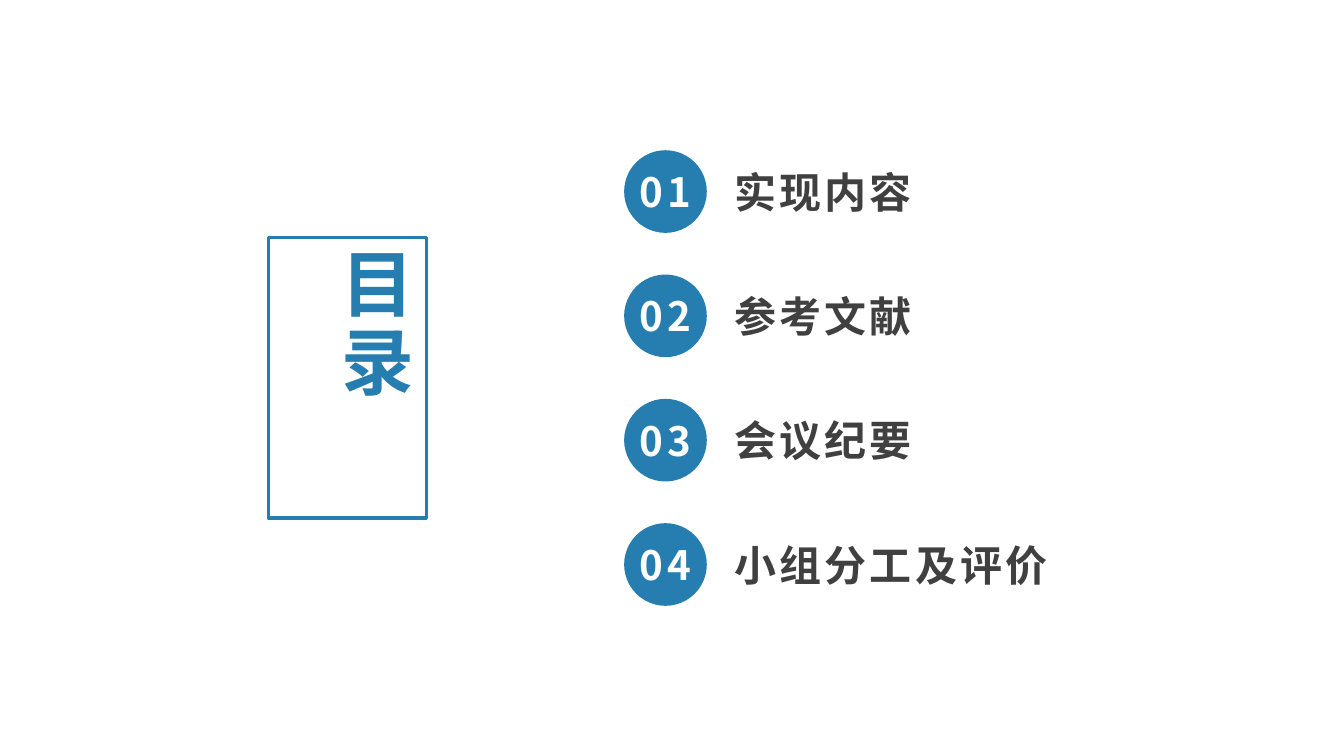
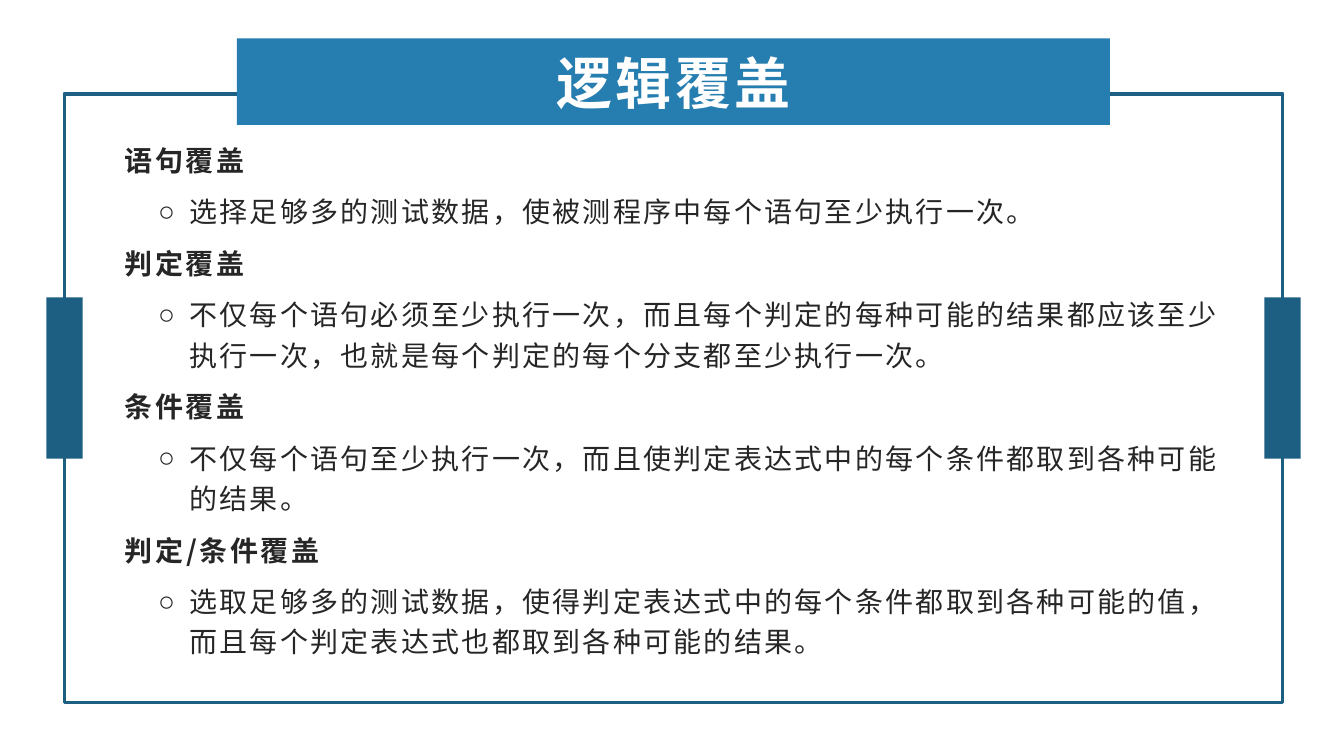
from dataclasses import dataclass

from lxml.etree import SubElement
from pptx import Presentation
from pptx.dml.color import RGBColor
from pptx.enum.shapes import MSO_SHAPE
from pptx.enum.text import MSO_ANCHOR, PP_ALIGN
from pptx.oxml.ns import qn
from pptx.util import Inches, Pt


@dataclass(frozen=True)
class Theme:
    """Colours, font and type sizes shared by all slides."""
    font: str = "Noto Sans CJK SC"
    blue: str = "267DAF"
    deep_blue: str = "1D5E83"
    white: str = "FFFFFF"
    entry: str = "404040"
    ink: str = "262626"
    contents_size: float = 52
    title_size: float = 40
    entry_size: float = 30
    number_size: float = 28.8
    body_size: float = 20


THEME = Theme()
PAGE_WIDTH, PAGE_HEIGHT = 13.33, 7.5

CONTENTS = ["实现内容", "参考文献", "会议纪要", "小组分工及评价"]
COVERAGE = [
    ("语句覆盖", "选择足够多的测试数据，使被测程序中每个语句至少执行一次。"),
    ("判定覆盖", "不仅每个语句必须至少执行一次，而且每个判定的每种可能的结果都应该至少执行一次，"
             "也就是每个判定的每个分支都至少执行一次。"),
    ("条件覆盖", "不仅每个语句至少执行一次，而且使判定表达式中的每个条件都取到各种可能的结果。"),
    ("判定/条件覆盖", "选取足够多的测试数据，使得判定表达式中的每个条件都取到各种可能的值，"
                "而且每个判定表达式也都取到各种可能的结果。"),
]


# Text
def write(para, text, *, size, color, bold=True, spacing=0.0, align=PP_ALIGN.LEFT):
    """Add one formatted span to a paragraph; spacing is in points."""
    para.alignment = align
    span = para.add_run()
    span.text = text
    span.font.size = Pt(size)
    span.font.bold = bold
    span.font.name = THEME.font
    span.font.color.rgb = RGBColor.from_string(color)
    properties = span.font._element
    properties.set("lang", "zh-CN")
    properties.set("spc", str(round(spacing * 100)))
    SubElement(properties, qn("a:ea")).set("typeface", THEME.font)


def add_text_box(page, left, top, width, height, anchor=MSO_ANCHOR.MIDDLE):
    box = page.shapes.add_textbox(Inches(left), Inches(top), Inches(width), Inches(height))
    frame = box.text_frame
    frame.word_wrap = True
    frame.vertical_anchor = anchor
    return frame


def set_bullet(para, char, left, hanging):
    properties = para._p.get_or_add_pPr()
    properties.set("marL", str(Inches(left)))
    properties.set("indent", str(-Inches(hanging)))
    SubElement(properties, qn("a:buFont")).set("typeface", "Arial")
    SubElement(properties, qn("a:buChar")).set("char", char)


# Shapes
def add_shape(page, kind, left, top, width, height, fill=None, line=None, line_width=0):
    shape = page.shapes.add_shape(kind, Inches(left), Inches(top), Inches(width), Inches(height))
    shape.shadow.inherit = False
    if fill:
        shape.fill.solid()
        shape.fill.fore_color.rgb = RGBColor.from_string(fill)
    else:
        shape.fill.background()
    if line:
        shape.line.color.rgb = RGBColor.from_string(line)
        shape.line.width = Pt(line_width)
    else:
        shape.line.fill.background()
    return shape


def add_label(shape, text, **style):
    """Centre one line of white text in a shape."""
    frame = shape.text_frame
    frame.margin_left = frame.margin_right = frame.margin_top = frame.margin_bottom = 0
    frame.word_wrap = False
    frame.vertical_anchor = MSO_ANCHOR.MIDDLE
    write(frame.paragraphs[0], text, color=THEME.white, align=PP_ALIGN.CENTER, **style)


# Parts of the slides
def add_contents_sign(page):
    frame = add_text_box(page, 2.87, 2.36, 1.33, 2.78, anchor=MSO_ANCHOR.TOP)
    frame._txBody.bodyPr.set("vert", "eaVert")
    write(frame.paragraphs[0], "目录", size=THEME.contents_size, color=THEME.blue, spacing=3.6)
    add_shape(page, MSO_SHAPE.RECTANGLE, 2.66, 2.36, 1.57, 2.78,
              line=THEME.blue, line_width=2.25)


def add_entry(page, number, text, top):
    circle = add_shape(page, MSO_SHAPE.OVAL, 6.19, top, 0.82, 0.82, fill=THEME.blue)
    add_label(circle, f"{number:02d}", size=THEME.number_size, spacing=2.4)
    frame = add_text_box(page, 7.19, top + 0.09, 3.48, 0.64)
    write(frame.paragraphs[0], text, size=THEME.entry_size, color=THEME.entry, spacing=2.2)


def add_titled_frame(page, title):
    """Outlined frame with a title band and a tab on each side."""
    left, top, width, height = 0.64, 0.93, 12.08, 6.04
    add_shape(page, MSO_SHAPE.RECTANGLE, left, top, width, height,
              fill=THEME.white, line=THEME.deep_blue, line_width=2.75)
    band = add_shape(page, MSO_SHAPE.RECTANGLE, 2.35, 0.38, 8.66, 0.86, fill=THEME.blue)
    add_label(band, title, size=THEME.title_size, spacing=2.4)
    tab_width, tab_height = 0.36, 1.6
    for edge in (left, left + width):
        add_shape(page, MSO_SHAPE.RECTANGLE, edge - tab_width / 2, 2.95,
                  tab_width, tab_height, fill=THEME.deep_blue)


def add_definitions(page, definitions):
    frame = add_text_box(page, 1.14, 1.93, 11.06, 4.03)
    for index, (term, meaning) in enumerate(definitions):
        heading = frame.add_paragraph() if index else frame.paragraphs[0]
        detail = frame.add_paragraph()
        detail.level = 1
        for para in (heading, detail):
            para.line_spacing = 1.2
            para.space_after = Pt(8)
        write(heading, term, size=THEME.body_size, color=THEME.ink, spacing=1.8)
        write(detail, meaning, size=THEME.body_size, color=THEME.ink, bold=False, spacing=1.6)
        set_bullet(detail, "○", left=0.64, hanging=0.31)


# Slides
def build_contents(page):
    first_top, last_top = 1.49, 5.19
    pitch = (last_top - first_top) / (len(CONTENTS) - 1)
    for index, text in enumerate(CONTENTS):
        add_entry(page, index + 1, text, first_top + index * pitch)
    add_contents_sign(page)


def build_coverage(page):
    add_titled_frame(page, "逻辑覆盖")
    add_definitions(page, COVERAGE)


def main():
    deck = Presentation()
    deck.slide_width, deck.slide_height = Inches(PAGE_WIDTH), Inches(PAGE_HEIGHT)
    blank = deck.slide_layouts[6]
    for build in (build_contents, build_coverage):
        build(deck.slides.add_slide(blank))
    deck.save("out.pptx")


if __name__ == "__main__":
    main()
